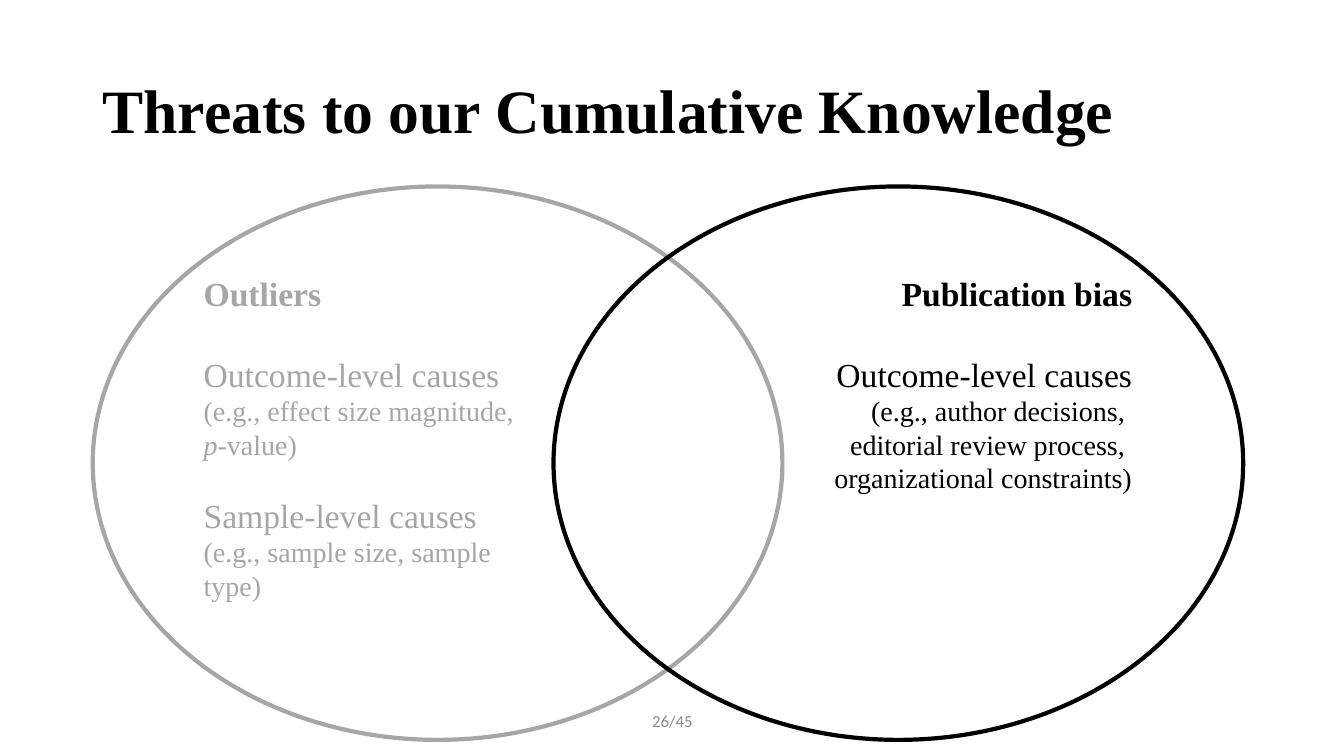
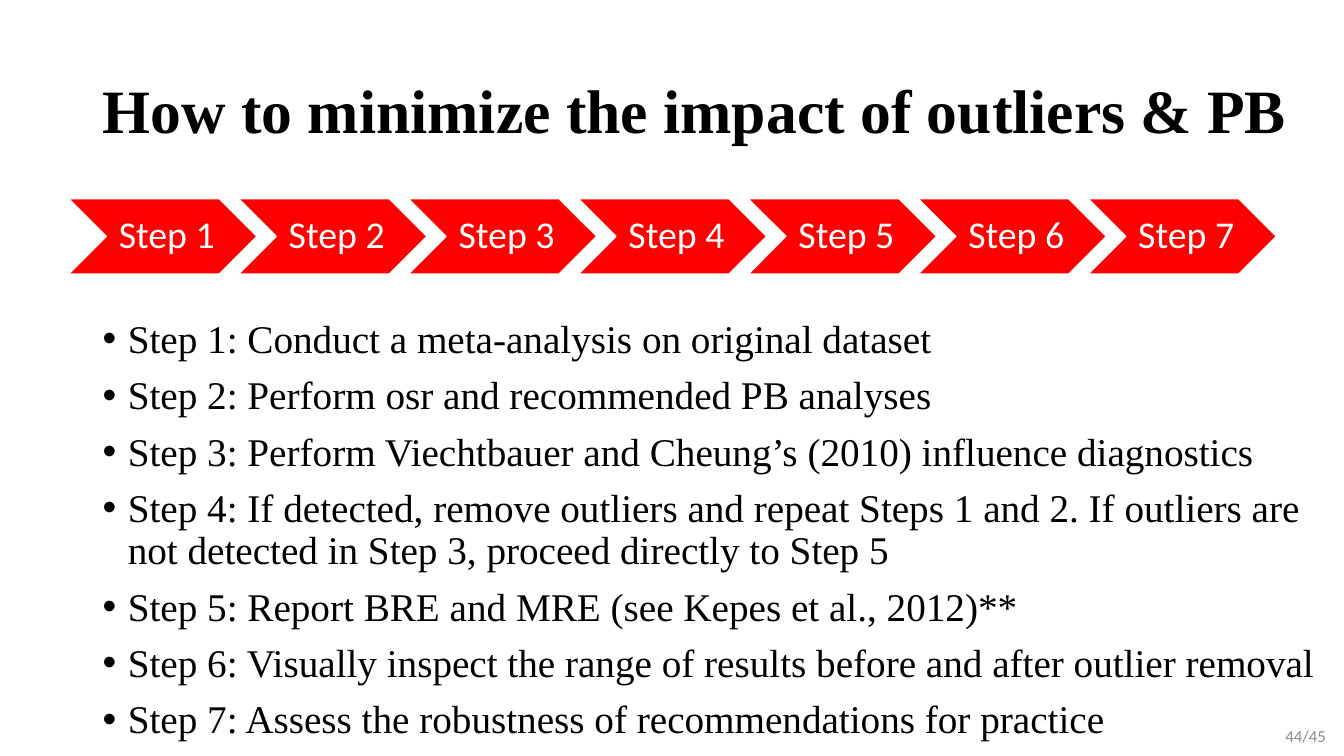
from lxml import etree
from pptx import Presentation
from pptx import util as u
from pptx.dml import color
from pptx.enum import shapes, text
from pptx.oxml import ns

PX = 9144  # 100 px to the inch
SERIF, SANS = "Times New Roman", "Calibri"
BLACK, GREY, PALE, RED, WHITE = "000000", "A6A6A6", "8C8C8C", "FF0000", "FFFFFF"
LEFT, RIGHT, CENTER = text.PP_ALIGN.LEFT, text.PP_ALIGN.RIGHT, text.PP_ALIGN.CENTER
TOP, MIDDLE = text.MSO_ANCHOR.TOP, text.MSO_ANCHOR.MIDDLE

HEADING = dict(size=24, bold=True)
CAUSE = dict(size=24)
FIRST_CAUSE = dict(size=24, before=29)
LATER_CAUSE = dict(size=24, before=24)
EXAMPLE = dict(size=20)

VENN = dict(
    title="Threats to our Cumulative Knowledge",
    number="26/45",
    number_box=(442, 695, 450, 40),
    circles=[
        (92, GREY, LEFT, [
            ("Outliers", HEADING),
            ("Outcome-level causes", FIRST_CAUSE),
            ("(e.g., effect size magnitude,", EXAMPLE),
            ([("p", True), ("-value)", False)], EXAMPLE),
            ("Sample-level causes", LATER_CAUSE),
            ("(e.g., sample size, sample", EXAMPLE),
            ("type)", EXAMPLE),
        ]),
        (549, BLACK, RIGHT, [
            ("Publication bias", HEADING),
            ("Outcome-level causes", FIRST_CAUSE),
            ("(e.g., author decisions, ", EXAMPLE),
            ("editorial review process, ", EXAMPLE),
            ("organizational constraints)", EXAMPLE),
        ]),
    ],
)

STEPS = dict(
    title="How to minimize the impact of outliers & PB",
    number="44/45",
    number_box=(1257, 710, 76, 40),
    steps=[
        "Conduct a meta-analysis on original dataset",
        "Perform osr and recommended PB analyses",
        "Perform Viechtbauer and Cheung’s (2010) influence diagnostics",
        "If detected, remove outliers and repeat Steps 1 and 2. "
        "If outliers are not detected in Step 3, proceed directly to Step 5",
        "Report BRE and MRE (see Kepes et al., 2012)**",
        "Visually inspect the range of results before and after outlier removal",
        "Assess the robustness of recommendations for practice",
    ],
)


def px(*lengths):
    return [u.Emu(round(length * PX)) for length in lengths]


def paint(target, hex_color):
    """Colour a fill or a font."""
    if hasattr(target, "solid"):
        target.solid()
        target.fore_color.rgb = color.RGBColor.from_string(hex_color)
    else:
        target.color.rgb = color.RGBColor.from_string(hex_color)


def set_frame(shape, anchor=TOP, wrap=True, insets=(10, 5, 10, 5)):
    frame = shape.text_frame
    frame.word_wrap = wrap
    frame.vertical_anchor = anchor
    (frame.margin_left, frame.margin_top,
     frame.margin_right, frame.margin_bottom) = px(*insets)
    return frame


def write(frame, words, size, ink=BLACK, face=SERIF, bold=False, align=LEFT,
          before=0, spacing=1, bullet=False):
    """Add a paragraph; words is a string or a list of (string, italic)."""
    para = frame.paragraphs[0]
    if para.runs:
        para = frame.add_paragraph()
    para.alignment = align
    para.line_spacing = spacing
    para.space_before = u.Pt(before)
    if bullet:
        properties = para._p.get_or_add_pPr()
        properties.set("marL", str(25 * PX))
        properties.set("indent", str(-25 * PX))
        etree.SubElement(properties, ns.qn("a:buFont"), typeface="Arial")
        etree.SubElement(properties, ns.qn("a:buChar"), char="•")
    for words_part, italic in [(words, False)] if isinstance(words, str) else words:
        span = para.add_run()
        span.text = words_part
        font = span.font
        font.name, font.size, font.bold, font.italic = face, u.Pt(size), bold, italic
        paint(font, ink)


def add_box(page, area, **frame_format):
    return set_frame(page.shapes.add_textbox(*px(*area)), **frame_format)


def add_outlined(page, kind, area, line, weight, fill=None):
    shape = page.shapes.add_shape(kind, *px(*area))
    shape.shadow.inherit = False
    if fill:
        paint(shape.fill, fill)
    else:
        shape.fill.background()
    paint(shape.line.fill, line)
    shape.line.width = u.Pt(weight)
    return shape


def add_page(deck, content):
    """Add a page with its title and page number."""
    page = deck.slides.add_slide(deck.slide_layouts[6])
    write(add_box(page, (92, 40, 1204, 145), anchor=MIDDLE), content["title"],
          size=44, bold=True, spacing=0.9)
    write(add_box(page, content["number_box"], anchor=MIDDLE), content["number"],
          size=12, ink=PALE, face=SANS, align=CENTER)
    return page


def add_venn(deck):
    page = add_page(deck, VENN)
    for left, ink, align, lines in VENN["circles"]:
        circle = add_outlined(page, shapes.MSO_SHAPE.OVAL, (left, 185, 684, 549), ink, 3)
        frame = set_frame(circle)
        for words, style in lines:
            write(frame, words, ink=ink, align=align, **style)


def add_steps(deck):
    page = add_page(deck, STEPS)
    body = add_box(page, (92, 312, 1230, 438))
    first, last = 68, 1079
    pitch = (last - first) / (len(STEPS["steps"]) - 1)
    for index, action in enumerate(STEPS["steps"]):
        label = f"Step {index + 1}"
        write(body, f"{label}: {action}", size=28, spacing=0.9,
              before=10 if index else 0, bullet=True)
        chevron = add_outlined(page, shapes.MSO_SHAPE.CHEVRON,
                               (first + index * pitch, 197, 187, 75), WHITE, 1, RED)
        frame = set_frame(chevron, MIDDLE, wrap=False, insets=(12, 4, 4, 4))
        write(frame, label, size=27, ink=WHITE, face=SANS, align=CENTER, spacing=0.9)


def main():
    deck = Presentation()
    deck.slide_width, deck.slide_height = u.Inches(13.33), u.Inches(7.5)
    add_venn(deck)
    add_steps(deck)
    deck.save("out.pptx")


if __name__ == "__main__":
    main()
